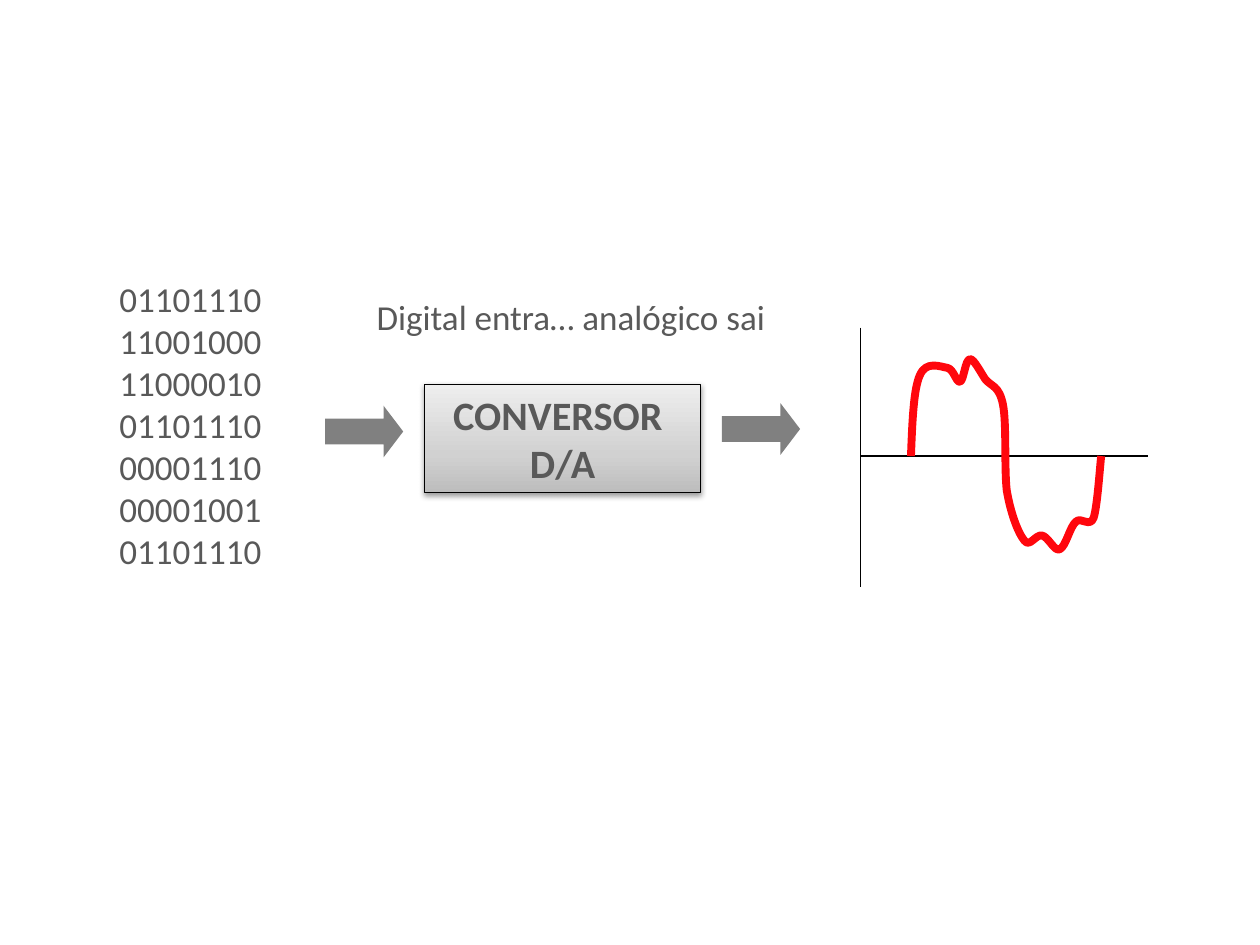
from copy import deepcopy

from lxml import etree
from pptx import Presentation
from pptx.dml.color import RGBColor
from pptx.enum.shapes import MSO_CONNECTOR, MSO_SHAPE
from pptx.enum.text import MSO_ANCHOR, PP_ALIGN
from pptx.oxml.ns import qn
from pptx.util import Pt

PX = 9144  # 100 px to the inch
BLACK = RGBColor(0x00, 0x00, 0x00)
TEXT_GRAY = RGBColor(0x59, 0x59, 0x59)
ARROW_GRAY = RGBColor(0x80, 0x80, 0x80)
SIGNAL_RED = RGBColor(0xFF, 0x07, 0x0D)
FONT = "Calibri"
RECTANGLE, RIGHT_ARROW = MSO_SHAPE.RECTANGLE, MSO_SHAPE.RIGHT_ARROW
STRAIGHT = MSO_CONNECTOR.STRAIGHT
LEFT, CENTER = PP_ALIGN.LEFT, PP_ALIGN.CENTER
MIDDLE = MSO_ANCHOR.MIDDLE

# Content: boxes are left, top, width, height in px
BITS = ["01101110", "11001000", "11000010", "01101110",
        "00001110", "00001001", "01101110"]
LABELS = [((85, 215, 134, 246), BITS),
          ((289, 230, 332, 44), ["Digital entra… analógico sai"])]
CONVERTER_BOX = (337, 305, 219, 86)
CONVERTER_TEXT = ["CONVERSOR ", "D/A"]
CONVERTER_STOPS = [(0, RGBColor(0xBD, 0xBD, 0xBD)),
                   (0.35, RGBColor(0xD1, 0xD1, 0xD1)),
                   (1, RGBColor(0xEE, 0xEE, 0xEE))]
ARROWS = [(258, 322, 62, 41), (573, 320, 62, 41)]
AXES = [(683, 260, 683, 466), (683, 362, 911, 362)]

# Analog signal: start, then two control points and an end per Bézier curve
SIGNAL_START = (723, 362)
SIGNAL_CURVES = [
    ((724, 336), (725, 309), (730, 298)),
    ((735, 286), (746, 291), (752, 292)),
    ((757, 293), (759, 304), (762, 303)),
    ((765, 302), (766, 285), (770, 285)),
    ((773, 285), (778, 295), (782, 301)),
    ((787, 307), (793, 306), (796, 321)),
    ((799, 336), (797, 371), (799, 389)),
    ((802, 407), (808, 423), (813, 429)),
    ((817, 435), (822, 424), (827, 425)),
    ((832, 426), (837, 438), (841, 436)),
    ((846, 434), (849, 418), (854, 414)),
    ((858, 410), (865, 419), (868, 411)),
    ((871, 402), (873, 370), (874, 362)),
]


def emu(values):
    return [value * PX for value in values]


def write(shape, lines, size, alignment, bold=False):
    frame = shape.text_frame
    frame.text = "\n".join(lines)
    for paragraph in frame.paragraphs:
        paragraph.alignment = alignment
        paragraph.font.name = FONT
        paragraph.font.size = Pt(size)
        paragraph.font.bold = bold
        paragraph.font.color.rgb = TEXT_GRAY


def set_gradient(fill, stops, angle):
    fill.gradient()
    fill.gradient_angle = angle
    last = fill.gradient_stops[-1]._gs
    last.addprevious(deepcopy(last))
    for stop, (position, color) in zip(fill.gradient_stops, stops):
        stop.position = position
        stop.color.rgb = color


def add_shadow(shape):
    effects = etree.SubElement(shape._element.spPr, qn("a:effectLst"))
    shadow = etree.SubElement(effects, qn("a:outerShdw"), blurRad="40000",
                              dist="20000", dir="5400000", rotWithShape="0")
    color = etree.SubElement(shadow, qn("a:srgbClr"), val="000000")
    etree.SubElement(color, qn("a:alpha"), val="38000")


def add_curve(shapes, start, curves):
    """Draw the end points as a freeform, then bend each line into a Bézier."""
    builder = shapes.build_freeform(*emu(start))
    builder.add_line_segments([emu(points[-1]) for points in curves], close=False)
    shape = builder.convert_to_shape()
    lines = list(shape._element.iter(qn("a:lnTo")))
    for line, points in zip(lines, curves):
        bend = etree.Element(qn("a:cubicBezTo"))
        for x, y in map(emu, points):
            etree.SubElement(bend, qn("a:pt"),
                             x=str(x - shape.left), y=str(y - shape.top))
        line.getparent().replace(line, bend)
    return shape


presentation = Presentation()
presentation.slide_width, presentation.slide_height = emu((1000, 750))
slide = presentation.slides.add_slide(presentation.slide_layouts[6])
shapes = slide.shapes

# Converter
converter = shapes.add_shape(RECTANGLE, *emu(CONVERTER_BOX))
set_gradient(converter.fill, CONVERTER_STOPS, 90)
converter.line.color.rgb = BLACK
converter.line.width = Pt(0.75)
add_shadow(converter)
converter.text_frame.word_wrap = True
converter.text_frame.vertical_anchor = MIDDLE
write(converter, CONVERTER_TEXT, 23, CENTER, bold=True)

# Axes
for ends in AXES:
    axis = shapes.add_connector(STRAIGHT, *emu(ends))
    axis.line.color.rgb = BLACK
    axis.line.width = Pt(0.75)
    etree.SubElement(axis._element.spPr, qn("a:effectLst"))

# Analog signal
signal = add_curve(shapes, SIGNAL_START, SIGNAL_CURVES)
signal.shadow.inherit = False
signal.fill.background()
signal.line.color.rgb = SIGNAL_RED
signal.line.width = Pt(4.5)

# Digital input and caption
for box, lines in LABELS:
    label = shapes.add_textbox(*emu(box))
    label.text_frame.word_wrap = False
    write(label, lines, 20, LEFT)

# Flow arrows
for box in ARROWS:
    arrow = shapes.add_shape(RIGHT_ARROW, *emu(box))
    arrow.adjustments[0] = 0.5
    arrow.adjustments[1] = 0.38
    arrow.shadow.inherit = False
    arrow.fill.solid()
    arrow.fill.fore_color.rgb = ARROW_GRAY
    arrow.line.fill.background()

presentation.save("out.pptx")
